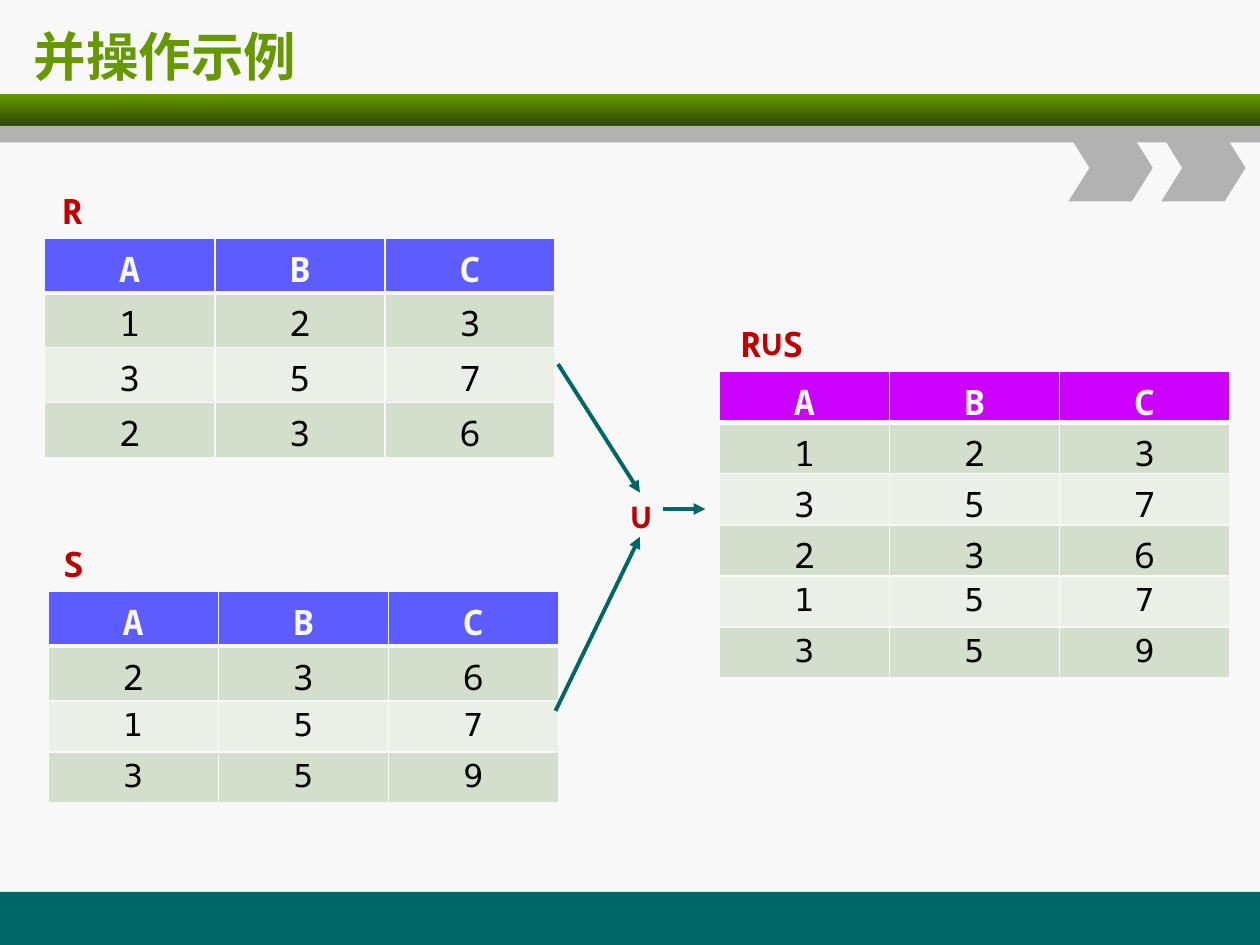
from lxml.etree import SubElement
from pptx import Presentation
from pptx.dml.color import RGBColor
from pptx.enum.shapes import MSO_CONNECTOR, MSO_SHAPE
from pptx.enum.text import MSO_ANCHOR, MSO_AUTO_SIZE, PP_ALIGN
from pptx.oxml import parse_xml
from pptx.oxml.ns import nsdecls, qn
from pptx.util import Cm, Pt

PAPER, GREEN, TEAL, GREY, RED = "F8F8F8", "669900", "006666", "B2B2B2", "C00000"
BANDS = "D3DECC", "EAEFE7"
MONO, SANS = "Noto Sans Mono", "DejaVu Sans"
COL_W, ROW_H = 3.43, 1.03
LABEL_H = 1.11


def rgb(color):
    return RGBColor.from_string(color)


def set_text(tf, text, align, color, **fmt):
    p = tf.paragraphs[0]
    p.alignment = align
    r = p.add_run()
    r.text = text
    r.font.color.rgb = rgb(color)
    for name, value in fmt.items():
        setattr(r.font, name, value)


def add_block(s, kind, box, color):
    sp = s.shapes.add_shape(kind, *map(Cm, box))
    sp.shadow.inherit = False
    sp.fill.solid()
    sp.fill.fore_color.rgb = rgb(color)
    sp.line.fill.background()
    return sp


def add_header(s, title, box):
    """Title above a gradient band, a grey strip and two chevrons."""
    x, y, w, h = box
    t = s.shapes.title
    t.left, t.top, t.width, t.height = map(Cm, (x + 0.43, y + 0.33, 20.52, 1.57))
    t.text_frame.vertical_anchor = MSO_ANCHOR.MIDDLE
    set_text(t.text_frame, title, PP_ALIGN.LEFT, GREEN,
             size=Pt(30), name=SANS, bold=True)
    band = add_block(s, MSO_SHAPE.RECTANGLE, (x, y + 1.9, w, 0.64), GREEN)
    band.fill.gradient()
    band.fill.gradient_angle = 270
    for stop, color in zip(band.fill.gradient_stops, (GREEN, "304800")):
        stop.color.rgb = rgb(color)
    add_block(s, MSO_SHAPE.RECTANGLE, (x, y + 2.54, w, h - 2.54), GREY)
    for i in range(2):
        chevron = add_block(s, MSO_SHAPE.CHEVRON,
                            (x + 21.54 + 1.87 * i, y + 2.71, 1.7, 1.35), GREY)
        chevron.adjustments[0] = 0.314


def add_label(s, text, box):
    tf = s.shapes.add_textbox(*map(Cm, box)).text_frame
    tf.word_wrap = False
    tf.auto_size = MSO_AUTO_SIZE.SHAPE_TO_FIT_TEXT
    set_text(tf, text, PP_ALIGN.RIGHT, RED, size=Pt(20), name=MONO, bold=True)


def set_borders(cell, **widths):
    tcPr = cell._tc.get_or_add_tcPr()
    for i, side in enumerate("LRTB"):
        tcPr.insert(i, parse_xml(
            f'<a:ln{side} {nsdecls("a")} w="{Pt(widths.get(side, 1))}"><a:solidFill>'
            f'<a:srgbClr val="{PAPER}"/></a:solidFill></a:ln{side}>'))


def add_relation(s, name, label_w, box, rows, small_from, head_color, bottom=0.13):
    """Named table; rows from small_from on use the smaller text."""
    x, y, w, h = box
    add_label(s, name, (x + 0.05, y - LABEL_H, label_w, LABEL_H))
    rows = ["ABC", *rows]
    table = s.shapes.add_table(len(rows), 3, *map(Cm, box)).table
    for col in table.columns:
        col.width = Cm(w / 3)
    for i, values in enumerate(rows):
        table.rows[i].height = Cm(h / len(rows))
        head, small = i == 0, i >= small_from
        for j, value in enumerate(values):
            cell = table.cell(i, j)
            cell.fill.solid()
            cell.fill.fore_color.rgb = rgb(head_color if head else BANDS[(i - 1) % 2])
            cell.margin_bottom = Cm(0.13 if small else bottom)
            set_borders(cell, B=3 if head else 1, T=3 if i == 1 else 1)
            set_text(cell.text_frame, value, PP_ALIGN.CENTER,
                     PAPER if head else "000000", bold=head,
                     size=Pt(18 if small else 20), name=SANS if small else MONO)


def add_arrow(s, start, end):
    c = s.shapes.add_connector(MSO_CONNECTOR.STRAIGHT, *map(Cm, start + end))
    c.line.color.rgb = rgb(TEAL)
    c.line.width = Pt(2.25)
    SubElement(c.line._get_or_add_ln(), qn("a:tailEnd"), type="triangle")
    SubElement(c._element.spPr, qn("a:effectLst"))


def add_union(s, box):
    """Union sign with two arrows coming in and one going out."""
    x, y, w, h = box
    add_label(s, "∪", box)
    add_arrow(s, (x - 1.07, y - 2.52), (x + 0.58, y + 0.07))
    add_arrow(s, (x - 1.12, y + 4.47), (x + 0.58, y + 0.96))
    add_arrow(s, (x + 1.04, y + 0.4), (x + 1.9, y + 0.4))


def main():
    prs = Presentation()
    prs.slide_width, prs.slide_height = Cm(25.4), Cm(19.05)
    s = prs.slides.add_slide(prs.slide_layouts[5])
    s.background.fill.solid()
    s.background.fill.fore_color.rgb = rgb(PAPER)

    add_block(s, MSO_SHAPE.RECTANGLE, (0, 17.98, 25.4, 1.07), TEAL)
    add_header(s, "并操作示例", (0, 0, 25.4, 2.87))

    r_rows, s_rows = ["123", "357", "236"], ["236", "157", "359"]
    union = r_rows + [row for row in s_rows if row not in r_rows]
    w = 3 * COL_W
    add_relation(s, "R", 0.97, (0.9, 4.8, w, 4 * ROW_H), r_rows, 4, "5C5CFF")
    add_relation(s, "S", 0.89, (0.97, 11.92, w, 4 * ROW_H), s_rows, 2, "5C5CFF")
    add_relation(s, "R∪S", 1.9, (14.5, 7.49, w, 6 * ROW_H), union, 4, "CC00FF",
                 bottom=0)
    add_union(s, (12.32, 9.86, 1.07, LABEL_H))
    prs.save("out.pptx")


if __name__ == "__main__":
    main()
